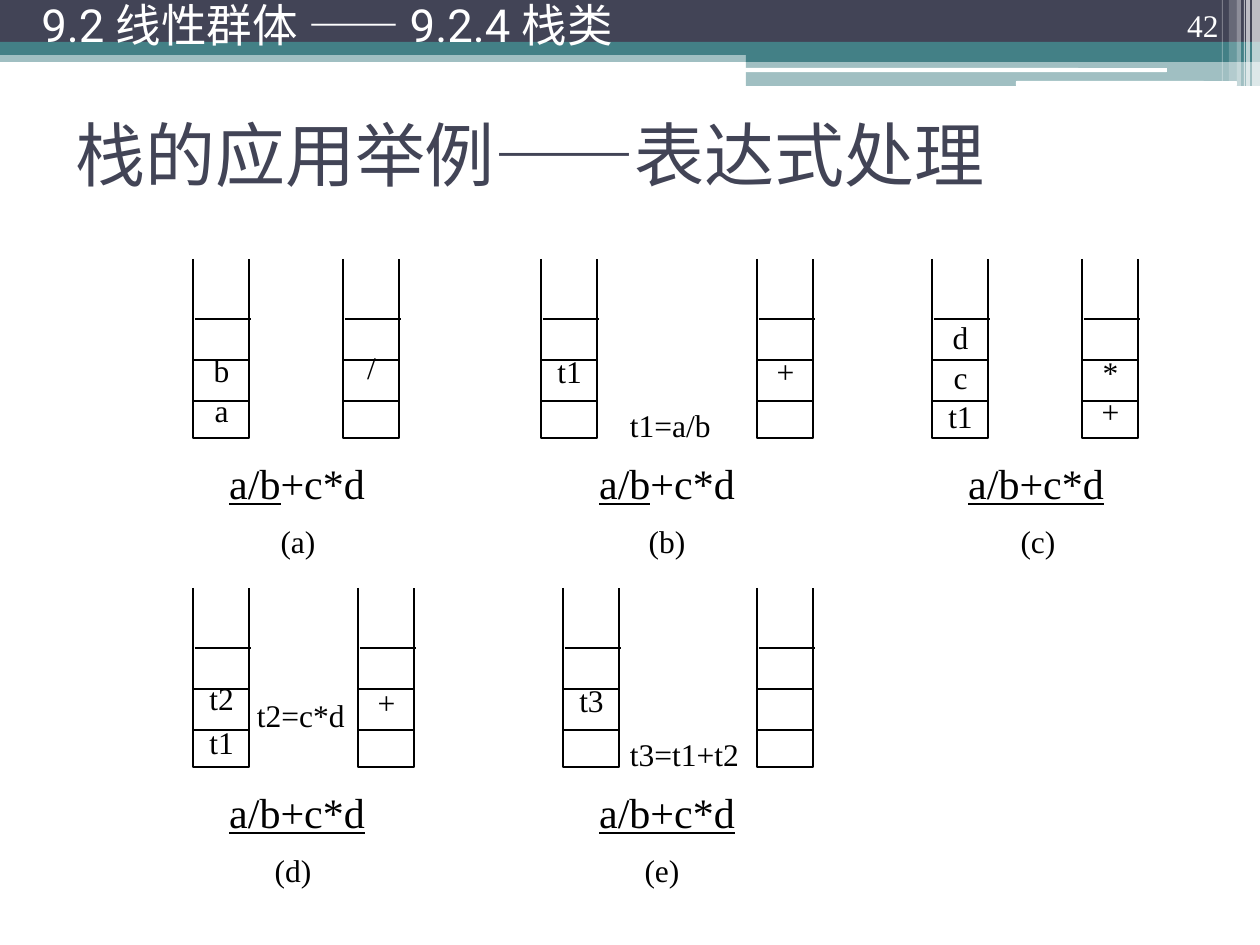
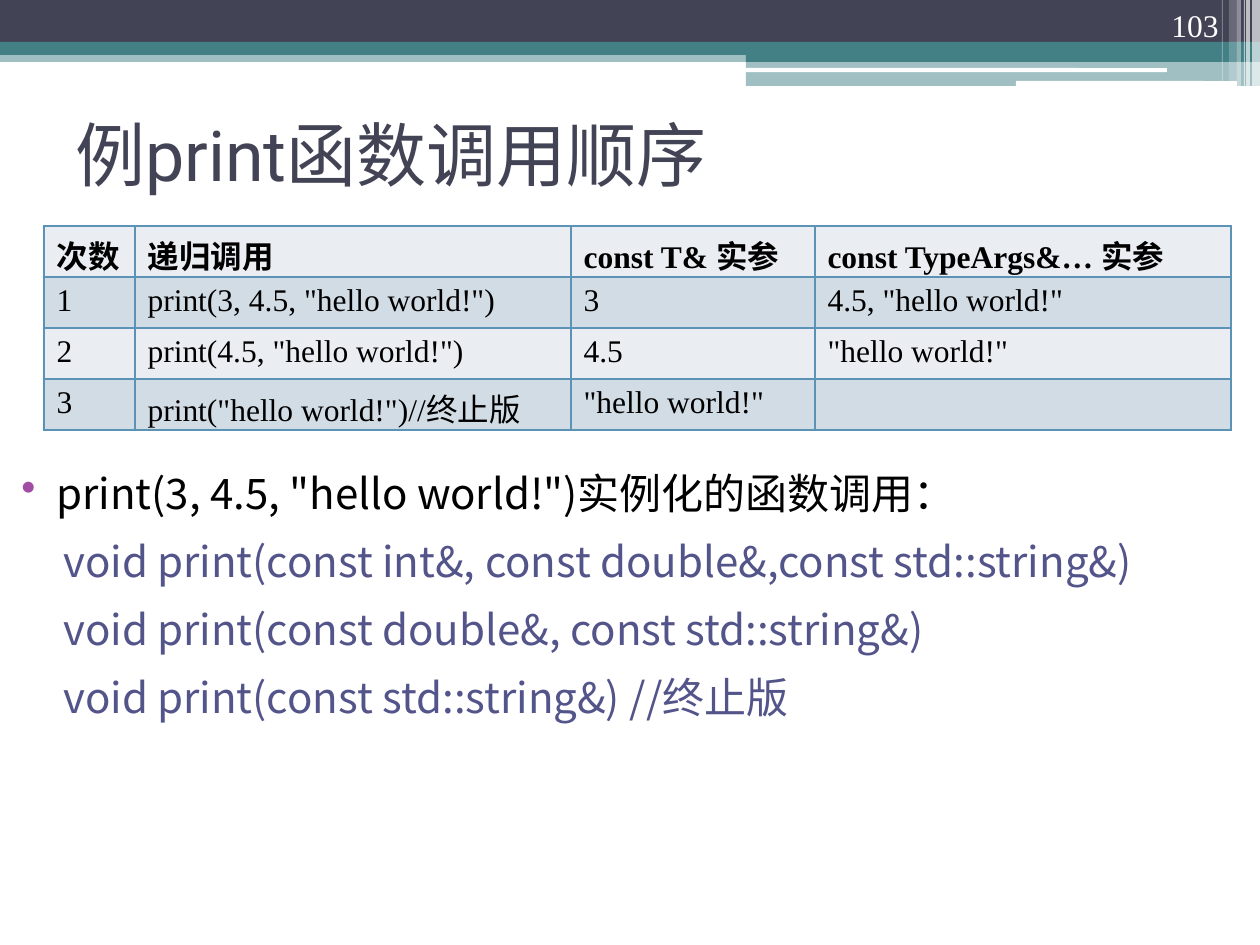
from lxml import etree
from pptx import Presentation
from pptx.dml.color import RGBColor
from pptx.enum.shapes import MSO_CONNECTOR, MSO_SHAPE
from pptx.enum.text import MSO_ANCHOR, PP_ALIGN
from pptx.oxml.ns import qn
from pptx.util import Pt

RECT, ROUNDED = MSO_SHAPE.RECTANGLE, MSO_SHAPE.ROUNDED_RECTANGLE
STRAIGHT = MSO_CONNECTOR.STRAIGHT
TOP, MIDDLE, BOTTOM = MSO_ANCHOR.TOP, MSO_ANCHOR.MIDDLE, MSO_ANCHOR.BOTTOM
LEFT, CENTER, RIGHT = PP_ALIGN.LEFT, PP_ALIGN.CENTER, PP_ALIGN.RIGHT

PX = 914400 / 126
SLIDE_W, SLIDE_H = 1260, 945

INK = RGBColor(0x42, 0x44, 0x56)
TEAL = RGBColor(0x43, 0x80, 0x86)
WHITE = RGBColor(0xFF, 0xFF, 0xFF)
BLACK = RGBColor(0x00, 0x00, 0x00)
CODE = RGBColor(0x53, 0x54, 0x8A)
BULLET = RGBColor(0xA0, 0x4D, 0xA3)
GRID = RGBColor(0x5C, 0x92, 0xB5)
ROW_FILLS = (RGBColor(0xEA, 0xEE, 0xF3), RGBColor(0xD2, 0xDC, 0xE5))

SANS, SERIF, CJK = "Roboto", "Times New Roman", "Noto Sans CJK SC"

TITLE = {"name": SANS, "size": Pt(40), "color": INK}
HEADER = {"name": SANS, "size": Pt(26), "color": WHITE}
NUMBER = {"name": SERIF, "size": Pt(18), "color": WHITE}
LABEL = {"name": SERIF, "size": Pt(18), "color": BLACK}
FORMULA = {"name": SERIF, "size": Pt(24), "color": BLACK}
BODY = {"name": CJK, "size": Pt(24), "color": BLACK}

# Shared bands: shape, left, top, width, height, colour, opacity in percent
BANDS = [
    (RECT, 0, 50, 1260, 12, TEAL, 50),
    (RECT, 0, 0, 1260, 43, INK, 100),
    (RECT, 0, 42, 1260, 13, TEAL, 100),
    (RECT, 746, 49, 514, 13, TEAL, 100),
    (RECT, 746, 61, 514, 25, TEAL, 50),
    (ROUNDED, 745, 68, 422, 4, WHITE, 100),
    (ROUNDED, 1016, 81, 221, 5, WHITE, 100),
    (RECT, 1252, 0, 8, 86, WHITE, 65),
    (RECT, 1246, 0, 4, 86, WHITE, 65),
    (RECT, 1244, 0, 1, 86, WHITE, 60),
    (RECT, 1237, 0, 4, 86, WHITE, 40),
    (RECT, 1229, 0, 8, 81, WHITE, 20),
    (RECT, 1222, 0, 1, 81, WHITE, 30),
]

# Stack geometry, measured from the stack's top left corner
STACK_W, STACK_H = 56, 179
DIVIDERS = [(0, 142), (0, 101), (2, 60)]
ROW_TOPS = (259, 588)

# Stacks are (left, items, offset of the first item, points between items)
PANELS = [
    {"row": 0, "formula": (193, "a/b", "+c*d"), "label": (277, "(a)"),
     "stacks": [(193, ["b", "a"], 95, 1), (343, ["/"], 128, 0)]},
    {"row": 0, "formula": (563, "a/b", "+c*d"), "label": (646, "(b)"),
     "stacks": [(541, ["t1"], 136, 0), (757, ["+"], 136, 0)],
     "note": (630, 147, "t1=a/b")},
    {"row": 0, "formula": (932, "a/b+c*d", ""), "label": (1017, "(c)"),
     "stacks": [(932, ["d", "c", "t1"], 53, 1), (1082, ["*", "+"], 98, 1)]},
    {"row": 1, "formula": (193, "a/b+c*d", ""), "label": (272, "(d)"),
     "stacks": [(193, ["t2", "t1"], 90, 3), (358, ["+"], 140, 0)],
     "note": (257, 108, "t2=c*d")},
    {"row": 1, "formula": (563, "a/b+c*d", ""), "label": (641, "(e)"),
     "stacks": [(563, ["t3"], 136, 0), (757, [], 0, 0)],
     "note": (630, 147, "t3=t1+t2")},
]

CALL_COLUMNS = (91, 436, 244, 416)
CALL_ROWS = [
    ("次数", "递归调用", "const T& 实参", "const TypeArgs&… 实参"),
    ("1", 'print(3, 4.5, "hello world!")', "3", '4.5, "hello world!"'),
    ("2", 'print(4.5, "hello world!")', "4.5", '"hello world!"'),
    ("3", 'print("hello world!")//终止版', '"hello world!"', ""),
]
INSTANCE_HEAD = 'print(3, 4.5, "hello world!")实例化的函数调用：'
INSTANCES = [
    "void print(const int&, const double&,const std::string&)",
    "void print(const double&, const std::string&)",
    "void print(const std::string&) //终止版",
]


def px(*lengths):
    return [round(length * PX) for length in lengths]


def set_all(target, values):
    for attribute, value in values.items():
        setattr(target, attribute, value)


def add_run(paragraph, text, style, **extra):
    run = paragraph.add_run()
    run.text = text
    for attribute, value in {**style, **extra}.items():
        if attribute == "color":
            run.font.color.rgb = value
        else:
            setattr(run.font, attribute, value)
    latin = run.font._element.find(qn("a:latin"))
    east_asian = etree.Element(qn("a:ea"), typeface=CJK)
    latin.addnext(east_asian)


def add_text(shapes, box, lines, style, align=LEFT, anchor=TOP, inset=None,
             **spacing):
    """Adds a text box; each line is a list of (text, extra font values)."""
    frame = shapes.add_textbox(*px(*box)).text_frame
    set_all(frame, {"word_wrap": True, "vertical_anchor": anchor})
    if inset is not None:
        set_all(frame, {"margin_left": 0, "margin_right": 0,
                        "margin_top": px(inset)[0], "margin_bottom": 0})
    for index, line in enumerate(lines):
        paragraph = frame.add_paragraph() if index else frame.paragraphs[0]
        set_all(paragraph, {"alignment": align, **spacing})
        for text, extra in line:
            add_run(paragraph, text, style, **extra)
    return frame


def add_band(shapes, kind, left, top, width, height, color, opacity):
    band = shapes.add_shape(kind, *px(left, top, width, height))
    band.shadow.inherit = False
    band.line.fill.background()
    band.fill.solid()
    band.fill.fore_color.rgb = color
    if opacity < 100:
        fill_color = band.fill._xPr.find(qn("a:solidFill"))[0]
        etree.SubElement(fill_color, qn("a:alpha"), val=str(opacity * 1000))


def add_base_slide(deck, title, number):
    slide = deck.slides.add_slide(deck.slide_layouts[6])
    for band in BANDS:
        add_band(slide.shapes, *band)
    add_text(slide.shapes, (63, 79, 1134, 148), [[(title, {})]], TITLE,
             anchor=MIDDLE)
    add_text(slide.shapes, (1126, 0, 105, 50), [[(number, {})]], NUMBER,
             RIGHT, BOTTOM)
    return slide


def add_divider(shapes, left, y):
    divider = shapes.add_connector(STRAIGHT, *px(left, y, left + STACK_W, y))
    divider.line.color.rgb = BLACK
    divider.line.width = Pt(0.75)
    etree.SubElement(divider._element.spPr, qn("a:effectLst"))


def add_stack(shapes, top, left, items, offset, gap):
    # Open-topped container
    right, bottom = left + STACK_W, top + STACK_H
    outline = shapes.build_freeform(left, top, scale=PX)
    outline.add_line_segments([(left, bottom), (right, bottom), (right, top)],
                              close=False)
    container = outline.convert_to_shape()
    container.shadow.inherit = False
    container.fill.background()
    container.line.color.rgb = BLACK
    container.line.width = Pt(0.75)
    # Stacked items
    if items:
        add_text(shapes, (left + 6, top + 6, 45, 173),
                 [[(item, {})] for item in items], LABEL, CENTER,
                 inset=offset, space_after=Pt(gap))
    for shift, depth in DIVIDERS:
        add_divider(shapes, left + shift, top + depth)


def add_panel(slide, panel):
    shapes = slide.shapes.add_group_shape().shapes
    top = ROW_TOPS[panel["row"]]
    for stack in panel["stacks"]:
        add_stack(shapes, top, *stack)
    left, done, pending = panel["formula"]
    formula = [(done, {"underline": True})]
    if pending:
        formula.append((pending, {}))
    add_text(shapes, (left, top + 198, 208, 42), [formula], FORMULA, CENTER,
             inset=0)
    left, label = panel["label"]
    add_text(shapes, (left, top + 263, 42, 39), [[(label, {})]], LABEL, CENTER,
             inset=0)
    if "note" in panel:
        left, depth, note = panel["note"]
        add_text(shapes, (left, top + depth, 126, 36), [[(note, {})]], LABEL,
                 inset=0)


def add_cell_borders(cell):
    properties = cell._tc.get_or_add_tcPr()
    for index, side in enumerate(("a:lnL", "a:lnR", "a:lnT", "a:lnB")):
        border = etree.Element(qn(side), w=str(Pt(1)))
        fill = etree.SubElement(border, qn("a:solidFill"))
        etree.SubElement(fill, qn("a:srgbClr"), val=str(GRID))
        properties.insert(index, border)


def add_call_table(slide):
    frame = slide.shapes.add_table(len(CALL_ROWS), len(CALL_COLUMNS),
                                   *px(44, 226, sum(CALL_COLUMNS), 204))
    table = frame.table
    set_all(table, {"first_row": False, "horz_banding": False})
    for column, width in zip(table.columns, px(*CALL_COLUMNS)):
        column.width = width
    for row_index, texts in enumerate(CALL_ROWS):
        for column_index, text in enumerate(texts):
            cell = table.cell(row_index, column_index)
            cell.fill.solid()
            cell.fill.fore_color.rgb = ROW_FILLS[row_index % 2]
            add_cell_borders(cell)
            if text:
                add_run(cell.text_frame.paragraphs[0], text, LABEL,
                        bold=row_index == 0)


def add_instances(slide):
    lines = [[(INSTANCE_HEAD, {})]]
    lines += [[(signature, {"color": CODE})] for signature in INSTANCES]
    frame = add_text(slide.shapes, (-6, 470, 1271, 433), lines, BODY,
                     space_before=Pt(3), space_after=Pt(12), line_spacing=0.83)
    head, *signatures = frame.paragraphs
    # Bulleted lead line
    margin, hanging = px(50, -35)
    properties = head._p.get_or_add_pPr()
    properties.set("marL", str(margin))
    properties.set("indent", str(hanging))
    bullet_color = etree.SubElement(properties, qn("a:buClr"))
    etree.SubElement(bullet_color, qn("a:srgbClr"), val=str(BULLET))
    etree.SubElement(properties, qn("a:buChar"), char="•")
    # Indented signatures
    for paragraph in signatures:
        paragraph.level = 1
        properties = paragraph._p.get_or_add_pPr()
        properties.set("marL", str(px(57)[0]))
        properties.set("indent", "0")


def main():
    deck = Presentation()
    deck.slide_width, deck.slide_height = px(SLIDE_W, SLIDE_H)

    # Expression evaluation with stacks
    stack_slide = add_base_slide(deck, "栈的应用举例——表达式处理", "42")
    add_text(stack_slide.shapes, (29, 0, 1147, 59),
             [[("9.2 线性群体 —— 9.2.4 栈类", {})]], HEADER, anchor=MIDDLE,
             line_spacing=0.8)
    for panel in PANELS:
        add_panel(stack_slide, panel)

    # Order of the recursive calls
    call_slide = add_base_slide(deck, "例print函数调用顺序", "103")
    add_call_table(call_slide)
    add_instances(call_slide)

    deck.save("out.pptx")


if __name__ == "__main__":
    main()
